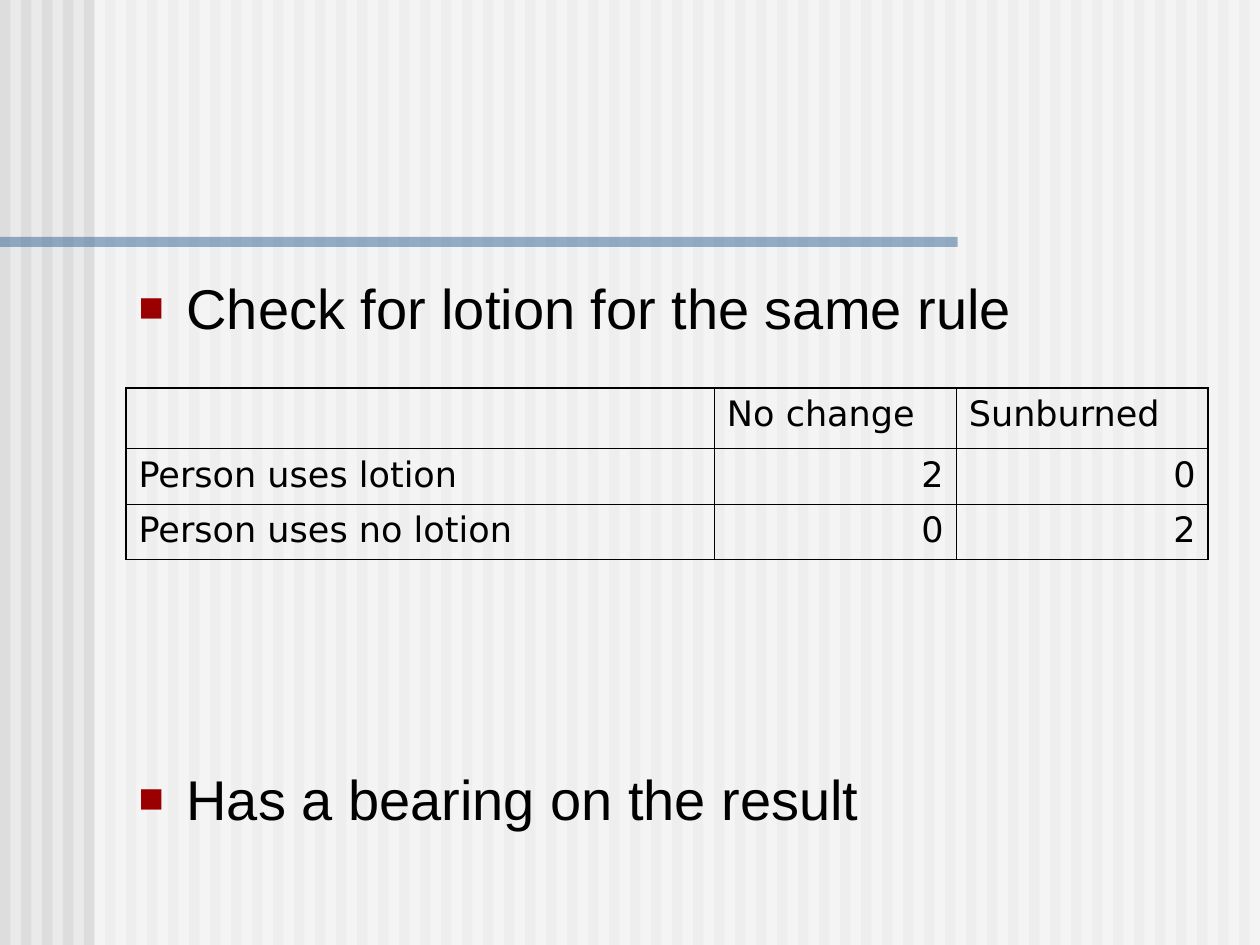
from lxml.etree import SubElement
from pptx import Presentation
from pptx.dml.color import RGBColor
from pptx.enum.shapes import MSO_SHAPE
from pptx.enum.text import MSO_ANCHOR, MSO_AUTO_SIZE, PP_ALIGN
from pptx.oxml.ns import qn
from pptx.util import Inches, Pt

COLORS = {
    "background": "EAEAEA",
    "stripe": "DDDDDD",
    "veil": "FFFFFF",
    "rule": "336699",
    "bullet": "9A0000",
    "text": "000000",
    "border": "000000",
}
STRIPE_COUNT = 60
BULLETS = [("Check for lotion for the same rule", 0), ("Has a bearing on the result", 242)]
ROWS = [
    ["", "No change", "Sunburned"],
    ["Person uses lotion", "2", "0"],
    ["Person uses no lotion", "0", "2"],
]
COLUMN_WIDTHS = [4.67, 1.92, 2]
ROW_HEIGHTS = [0.48, 0.44, 0.44]
INNER_WIDTH, OUTER_WIDTH = 0.45, 1.08


def color(name):
    """Return the named colour."""
    return RGBColor.from_string(COLORS[name])


def add_bar(slide, left, top, width, height, fill, alpha=None):
    """Add a borderless rectangle with an optional opacity in percent."""
    shape = slide.shapes.add_shape(
        MSO_SHAPE.RECTANGLE, Inches(left), Inches(top), Inches(width), Inches(height)
    )
    shape.shadow.inherit = False
    shape.line.fill.background()
    shape.fill.solid()
    shape.fill.fore_color.rgb = color(fill)
    if alpha is not None:
        rgb = shape._element.spPr.find(f"{qn('a:solidFill')}/{qn('a:srgbClr')}")
        SubElement(rgb, qn("a:alpha"), val=str(alpha * 1000))


def add_run(paragraph, text, font_name, size):
    """Add a formatted run to a paragraph."""
    run = paragraph.add_run()
    run.text = text
    run.font.name = font_name
    run.font.size = Pt(size)
    run.font.color.rgb = color("text")


def set_bullet(paragraph):
    """Give a paragraph a hanging square bullet."""
    properties = paragraph._p.get_or_add_pPr()
    properties.set("marL", str(Inches(0.38)))
    properties.set("indent", str(-Inches(0.38)))
    bullet_color = SubElement(properties, qn("a:buClr"))
    SubElement(bullet_color, qn("a:srgbClr"), val=COLORS["bullet"])
    SubElement(properties, qn("a:buSzPct"), val="75000")
    SubElement(properties, qn("a:buFont"), typeface="Arial")
    SubElement(properties, qn("a:buChar"), char="■")


def add_bullets(slide):
    """Fill the body placeholder and bring it in front of the backdrop."""
    body = slide.placeholders[1]
    slide.shapes._spTree.append(body._element)
    body.left, body.top = Inches(1), Inches(2.12)
    body.width, body.height = Inches(8.87), Inches(4.58)
    frame = body.text_frame
    frame.word_wrap = True
    frame.auto_size = MSO_AUTO_SIZE.NONE
    frame.vertical_anchor = MSO_ANCHOR.TOP
    for index, (text, space) in enumerate(BULLETS):
        paragraph = frame.add_paragraph() if index else frame.paragraphs[0]
        set_bullet(paragraph)
        paragraph.space_before = Pt(space)
        add_run(paragraph, text, "Arial", 32)


def set_borders(cell, row, column):
    """Draw cell borders, heavier along the table's outer edge."""
    outer_sides = {
        "a:lnL": column == 0,
        "a:lnR": column == len(COLUMN_WIDTHS) - 1,
        "a:lnT": row == 0,
        "a:lnB": row == len(ROWS) - 1,
    }
    properties = cell._tc.get_or_add_tcPr()
    for tag, is_outer in outer_sides.items():
        width = Pt(OUTER_WIDTH if is_outer else INNER_WIDTH)
        line = SubElement(properties, qn(tag), w=str(width))
        fill = SubElement(line, qn("a:solidFill"))
        SubElement(fill, qn("a:srgbClr"), val=COLORS["border"])


def add_result_table(slide):
    """Add the table of lotion use against sunburn."""
    table = slide.shapes.add_table(
        len(ROWS), len(COLUMN_WIDTHS), Inches(1), Inches(3.08),
        Inches(sum(COLUMN_WIDTHS)), Inches(sum(ROW_HEIGHTS)),
    ).table
    table.first_row = table.horz_banding = False
    for column, width in zip(table.columns, COLUMN_WIDTHS):
        column.width = Inches(width)
    for row, height in zip(table.rows, ROW_HEIGHTS):
        row.height = Inches(height)
    for row, texts in enumerate(ROWS):
        for column, text in enumerate(texts):
            cell = table.cell(row, column)
            set_borders(cell, row, column)
            cell.fill.background()
            if text:
                paragraph = cell.text_frame.paragraphs[0]
                paragraph.alignment = PP_ALIGN.RIGHT if text.isdigit() else PP_ALIGN.LEFT
                add_run(paragraph, text, "DejaVu Sans", 20)


def add_backdrop(slide):
    """Draw the striped background, the white veil and the title rule."""
    slide.background.fill.solid()
    slide.background.fill.fore_color.rgb = color("background")
    for index in range(STRIPE_COUNT):
        add_bar(slide, index / 6, 0, 1 / 12, 7.5, "stripe")
    add_bar(slide, 0.75, 0, 9.25, 7.5, "veil", 50)
    add_bar(slide, 0, 1.88, 7.6, 0.08, "rule", 50)


def main():
    """Build and save the slide."""
    presentation = Presentation()
    presentation.slide_width, presentation.slide_height = Inches(10), Inches(7.5)
    slide = presentation.slides.add_slide(presentation.slide_layouts[1])
    title = slide.shapes.title._element
    title.getparent().remove(title)
    add_backdrop(slide)
    add_bullets(slide)
    add_result_table(slide)
    presentation.save("out.pptx")


if __name__ == "__main__":
    main()
